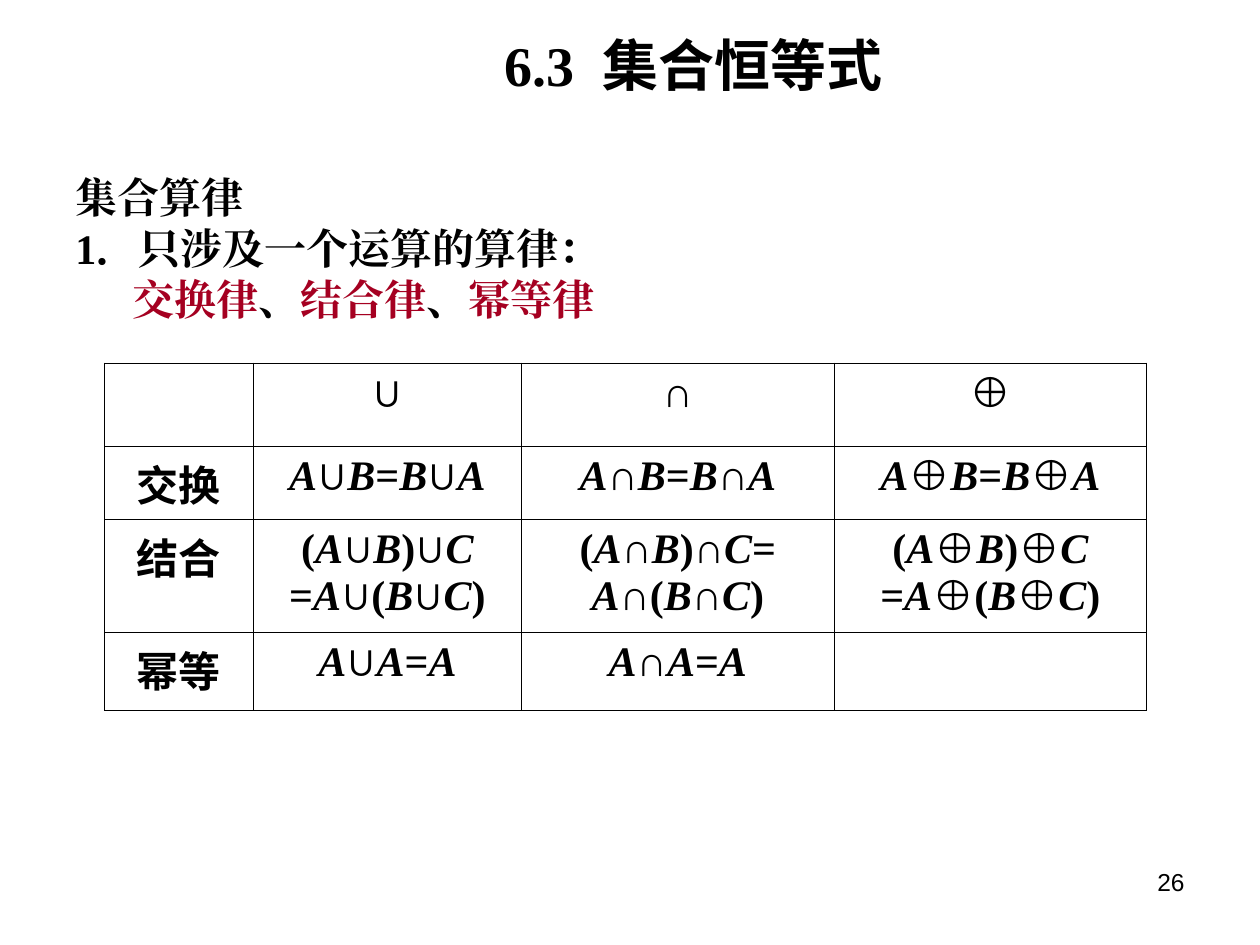
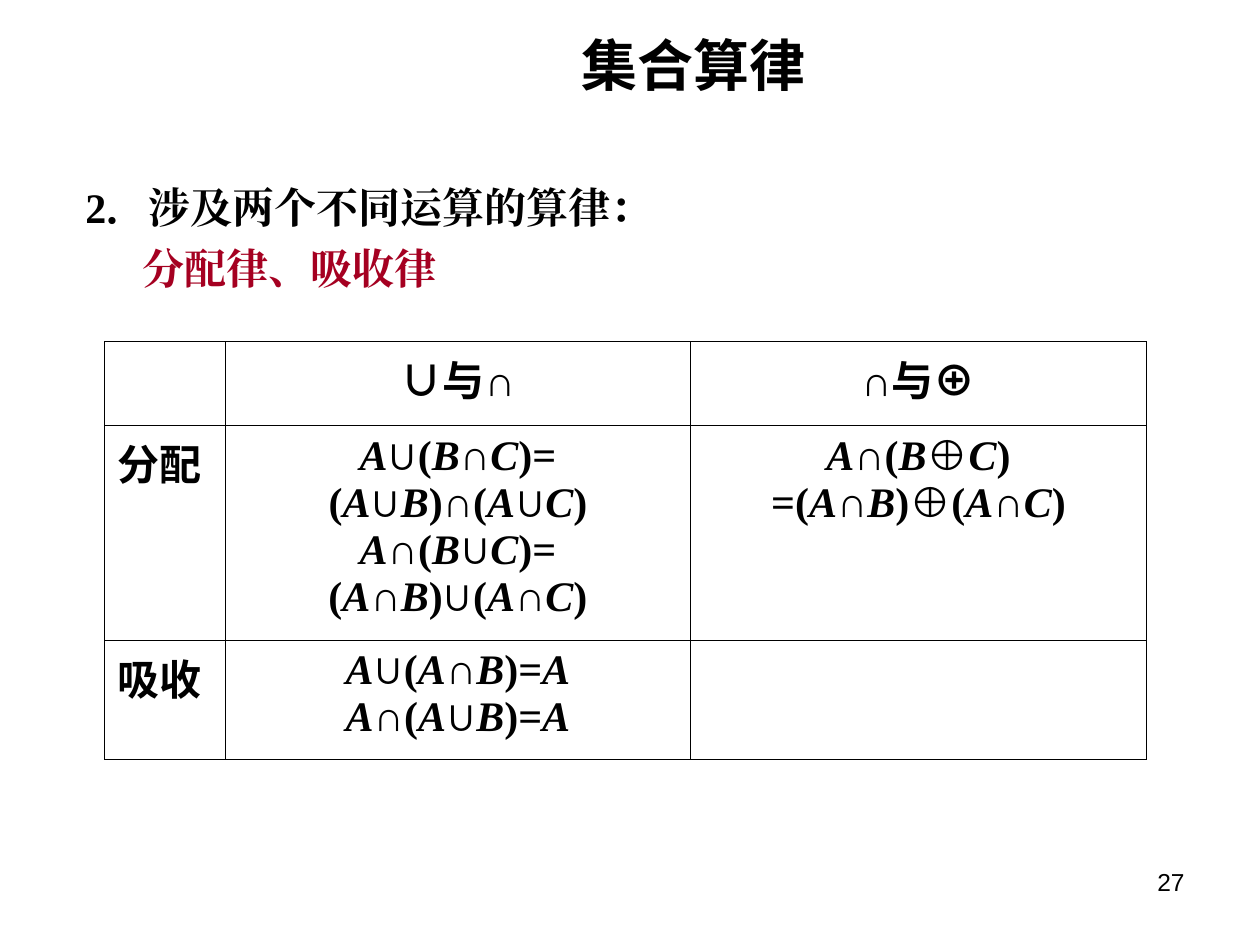
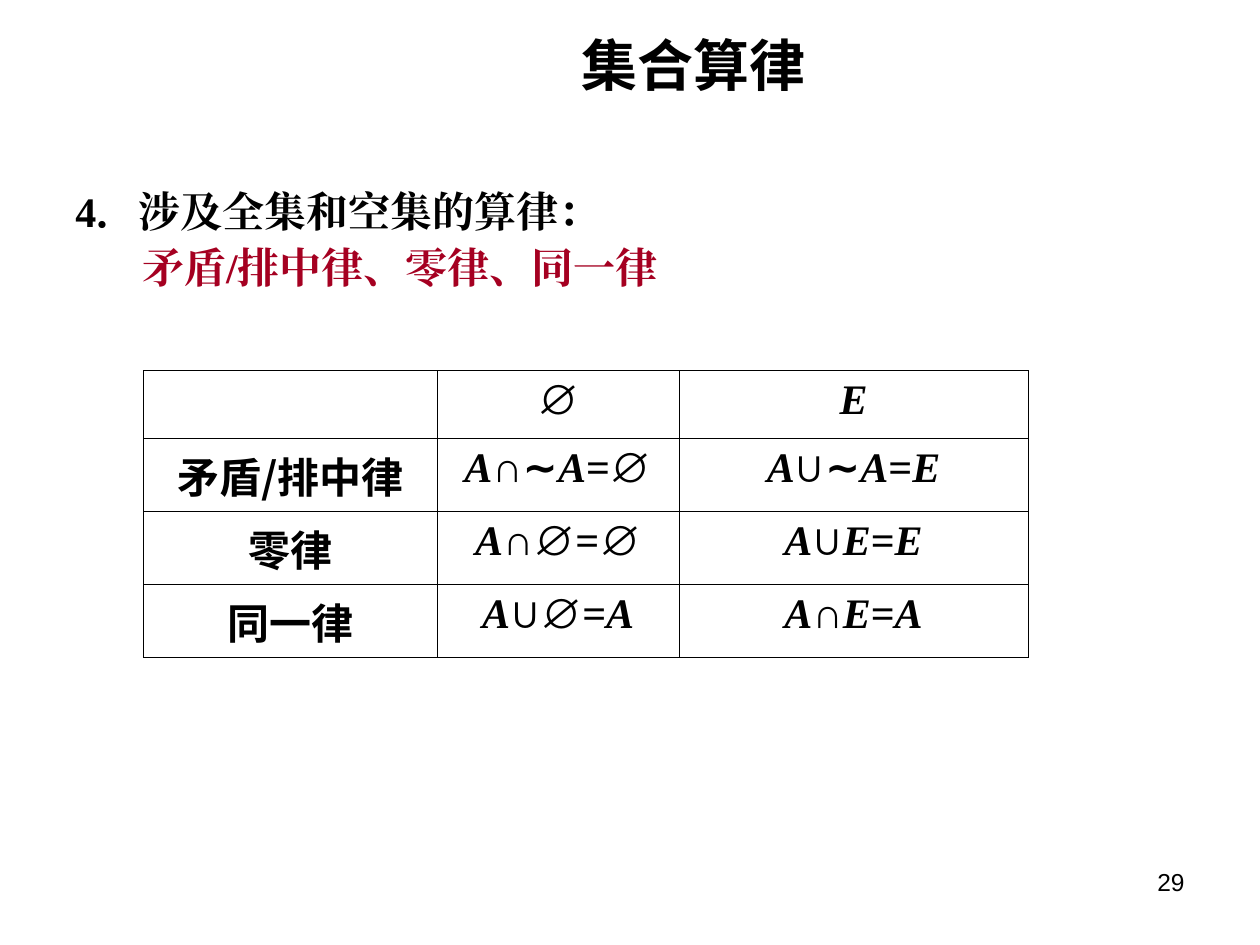
from itertools import groupby

from pptx import Presentation
from pptx.dml.color import RGBColor
from pptx.enum.text import MSO_ANCHOR, PP_ALIGN
from pptx.oxml.ns import qn
from pptx.util import Inches, Pt
from lxml import etree

LEFT, MID, RIGHT = PP_ALIGN.LEFT, PP_ALIGN.CENTER, PP_ALIGN.RIGHT
TOP, CENTRE = MSO_ANCHOR.TOP, MSO_ANCHOR.MIDDLE
INK = {"black": "000000", "red": "A50021"}
SANS, SERIF, HAN = "Arial", "Times New Roman", "Noto Sans CJK SC"
SIDES = ("a:lnL", "a:lnR", "a:lnT", "a:lnB")


def style(char):
    """Return the font of a formula character and whether it is italic."""
    if char in "ABCE":
        return SERIF, True
    if char in "()=":
        return SERIF, False
    if char in "∪∩⊕∅∼":
        return SANS, False
    return HAN, False


class Deck:
    def __init__(self):
        self.prs = Presentation()
        self.prs.slide_width, self.prs.slide_height = Inches(10), Inches(7.5)
        self.slide = None

    def page(self, number):
        self.slide = self.prs.slides.add_slide(self.prs.slide_layouts[6])
        para = self.box(7.17, 6.83, 2.33, 0.52).paragraphs[0]
        para.alignment = RIGHT
        self.run(para, str(number), SANS, 14, bold=False)

    def box(self, left, top, width, height, anchor=TOP):
        shape = self.slide.shapes.add_textbox(
            Inches(left), Inches(top), Inches(width), Inches(height))
        frame = shape.text_frame
        frame.word_wrap = True
        frame.vertical_anchor = anchor
        return frame

    def run(self, para, text, face, size=24, ink="black", bold=True,
            slant=False, space=0):
        """Add one run; space is extra letter spacing in points."""
        run = para.add_run()
        run.text = text
        font = run.font
        font.name, font.size = face, Pt(size)
        font.bold, font.italic = bold, slant
        font.color.rgb = RGBColor.from_string(INK[ink])
        props = run._r.get_or_add_rPr()
        etree.SubElement(props, qn("a:ea"), typeface=face)
        if space:
            props.set("spc", str(space * 100))

    def title(self, text, number=""):
        para = self.box(2.16, 0.28, 6.69, 0.46, CENTRE).paragraphs[0]
        para.alignment = MID
        if number:
            self.run(para, number, SERIF, 32)
            self.run(para, " ", SERIF, 32, space=8)
        self.run(para, text, SANS, 32)

    def body(self, top, height, pitch, lines):
        """Write lines given as (indent, [(text, ink), ...])."""
        frame = self.box(0.5, top, 9, height)
        for i, (indent, parts) in enumerate(lines):
            para = frame.add_paragraph() if i else frame.paragraphs[0]
            para.line_spacing = pitch
            para.space_before = Pt(6)
            para._p.get_or_add_pPr().set("marL", str(Inches(indent)))
            for text, ink in parts:
                self.run(para, text, SERIF, ink=ink)

    def border(self, cell):
        props = cell._tc.get_or_add_tcPr()
        for side in SIDES:
            line = etree.SubElement(props, qn(side), w=str(Pt(0.45)))
            fill = etree.SubElement(line, qn("a:solidFill"))
            etree.SubElement(fill, qn("a:srgbClr"), val=INK["black"])

    def formula(self, cell, text, align):
        frame = cell.text_frame
        for i, line in enumerate(text.split("\n")):
            para = frame.add_paragraph() if i else frame.paragraphs[0]
            para.alignment = align
            for (face, slant), chars in groupby(line, style):
                self.run(para, "".join(chars), face, slant=slant)

    def table(self, left, top, widths, heights, rows, first=MID):
        """Draw a ruled table; first aligns the label column."""
        grid = self.slide.shapes.add_table(
            len(heights), len(widths), Inches(left), Inches(top),
            Inches(sum(widths)), Inches(sum(heights))).table
        grid.first_row = grid.horz_banding = False
        for col, width in zip(grid.columns, widths):
            col.width = Inches(width)
        for row, height, texts in zip(grid.rows, heights, rows):
            row.height = Inches(height)
            for i, (cell, text) in enumerate(zip(row.cells, texts)):
                self.border(cell)
                cell.fill.background()
                if text:
                    self.formula(cell, text, MID if i else first)


def single(deck):
    deck.page(26)
    deck.title("集合恒等式", "6.3")
    deck.body(1.39, 1.26, 0.8, [
        (0, [("集合算律", "black")]),
        (0, [("1．只涉及一个运算的算律：", "black")]),
        (0.45, [("交换律", "red"), ("、", "black"), ("结合律", "red"),
                ("、", "black"), ("幂等律", "red")])])
    deck.table(0.83, 2.88, [1.18, 2.13, 2.48, 2.48], [0.66, 0.58, 0.9, 0.62], [
        ["", "∪", "∩", "⊕"],
        ["交换", "A∪B=B∪A", "A∩B=B∩A", "A⊕B=B⊕A"],
        ["结合", "(A∪B)∪C\n=A∪(B∪C)", "(A∩B)∩C=\nA∩(B∩C)",
         "(A⊕B)⊕C\n=A⊕(B⊕C)"],
        ["幂等", "A∪A=A", "A∩A=A", ""]])


def double(deck):
    deck.page(27)
    deck.title("集合算律")
    deck.body(1.39, 1.02, 1.0, [
        (0.08, [("2．涉及两个不同运算的算律：", "black")]),
        (0.53, [("分配律、吸收律", "red")])])
    deck.table(0.83, 2.71, [0.96, 3.69, 3.62], [0.67, 1.7, 0.95], [
        ["", "∪与∩", "∩与⊕"],
        ["分配", "A∪(B∩C)=\n(A∪B)∩(A∪C)\nA∩(B∪C)=\n(A∩B)∪(A∩C)",
         "A∩(B⊕C)\n=(A∩B)⊕(A∩C)"],
        ["吸收", "A∪(A∩B)=A\nA∩(A∪B)=A", ""]], LEFT)


def bounds(deck):
    """Build the laws of the universal and the empty set."""
    deck.page(29)
    deck.title("集合算律")
    deck.body(1.47, 0.94, 0.9, [
        (0, [("4．涉及全集和空集的算律：", "black")]),
        (0.53, [("矛盾/排中律、零律、同一律", "red")])])
    deck.table(1.14, 2.94, [2.33, 1.92, 2.77], [0.54] + [0.58] * 3, [
        ["", "∅", "E"],
        ["矛盾/排中律", "A∩∼A=∅", "A∪∼A=E"],
        ["零律", "A∩∅=∅", "A∪E=E"],
        ["同一律", "A∪∅=A", "A∩E=A"]])


def main():
    deck = Deck()
    for build in (single, double, bounds):
        build(deck)
    deck.prs.save("out.pptx")


if __name__ == "__main__":
    main()
